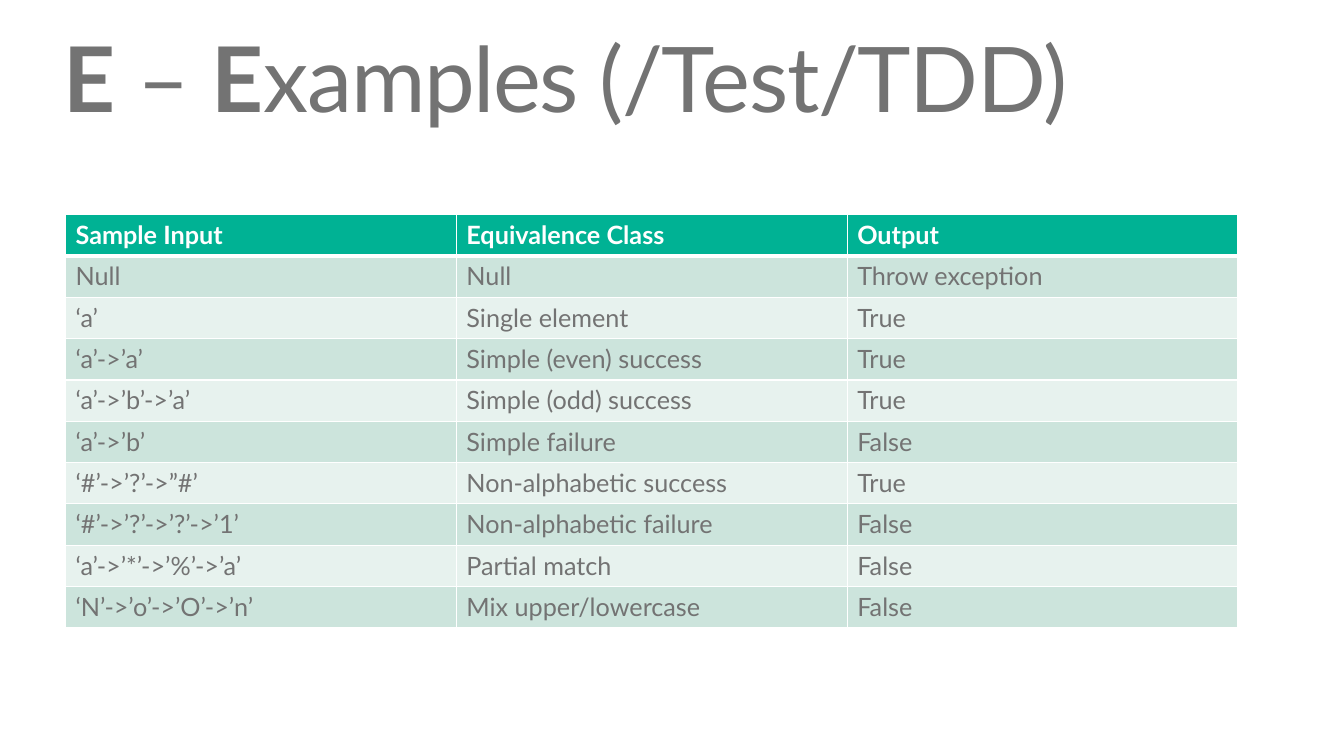
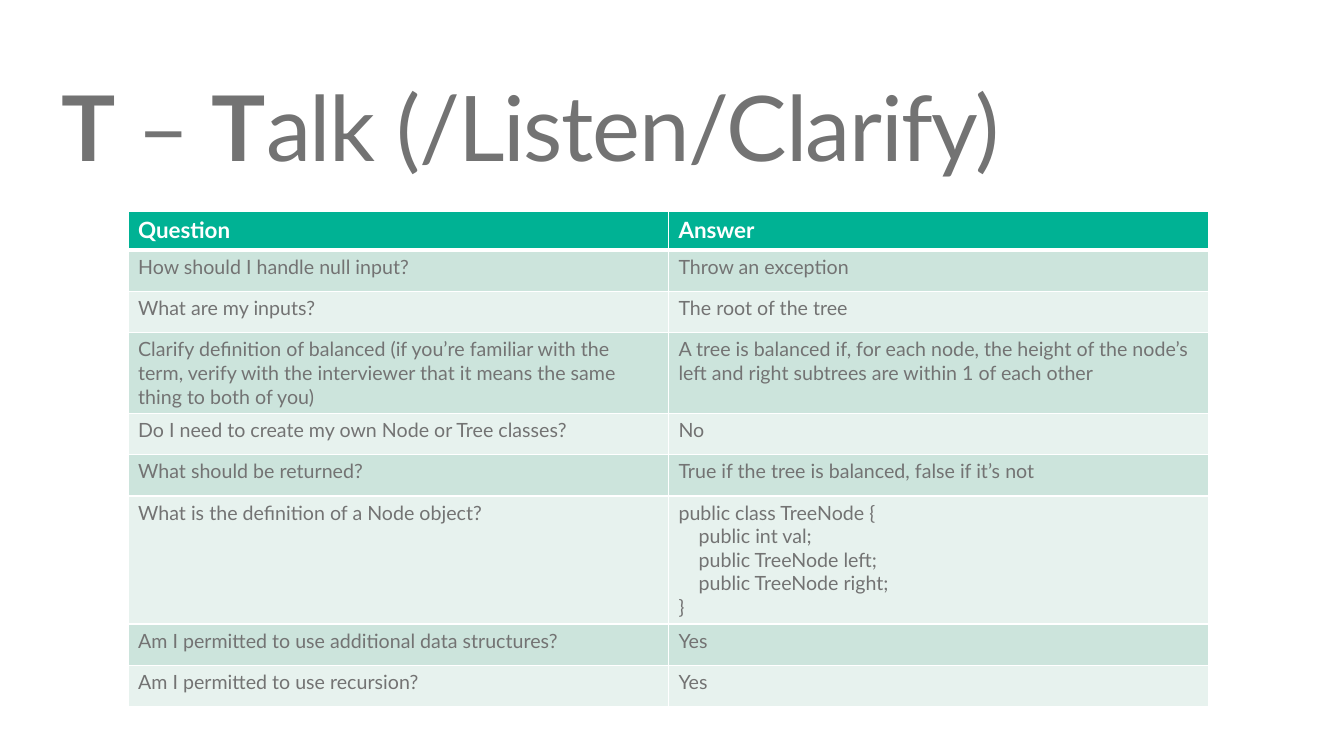
from dataclasses import dataclass

from lxml import etree
from pptx import Presentation
from pptx.dml.color import RGBColor
from pptx.enum.text import MSO_ANCHOR
from pptx.oxml.ns import qn
from pptx.util import Inches, Pt

TOP = MSO_ANCHOR.TOP


@dataclass(frozen=True)
class Theme:
    font: str = "Lato"
    text: str = "737373"
    white: str = "FFFFFF"
    header: str = "00B294"
    bands: tuple = ("CCE4DC", "E7F2EE")
    title_size: float = 64.7
    title_spacing: float = -1
    border: float = 1
    header_border: float = 3


THEME = Theme()


def add_span(para, text, *, size, color=THEME.text, bold=False, spacing=0):
    span = para.add_run()
    span.text = text
    span.font.name = THEME.font
    span.font.size = Pt(size)
    span.font.bold = bold
    span.font.color.rgb = RGBColor.from_string(color)
    if spacing:
        span.font._element.set("spc", str(int(spacing * 100)))


def add_border(cell, side, width):
    properties = cell._tc.get_or_add_tcPr()
    line = etree.SubElement(properties, qn(f"a:ln{side}"), w=str(Pt(width)))
    fill = etree.SubElement(line, qn("a:solidFill"))
    etree.SubElement(fill, qn("a:srgbClr"), val=THEME.white)


class Deck:
    def __init__(self):
        self.presentation = Presentation()
        self.presentation.slide_width = Inches(13.33)
        self.presentation.slide_height = Inches(7.5)
        self.page = None

    def add_page(self):
        blank = self.presentation.slide_layouts[6]
        self.page = self.presentation.slides.add_slide(blank)

    def add_title(self, left, top, letter, rest):
        box = self.page.shapes.add_textbox(
            Inches(left), Inches(top), Inches(11.53), Inches(1.25))
        frame = box.text_frame
        frame.word_wrap = True
        frame.vertical_anchor = TOP
        frame.margin_left = frame.margin_right = Inches(0.16)
        frame.margin_top = frame.margin_bottom = Inches(0.08)
        para = frame.paragraphs[0]
        para.line_spacing = 0.9
        for text, bold in ((letter, True), (" – ", False), (letter, True), (rest, False)):
            add_span(para, text, size=THEME.title_size, bold=bold,
                     spacing=THEME.title_spacing)

    def add_table(self, left, top, width, rows, heights, header_size, body_size):
        columns = len(rows[0])
        table = self.page.shapes.add_table(
            len(rows), columns, Inches(left), Inches(top),
            Inches(width), Inches(sum(heights))).table
        for column in table.columns:
            column.width = Inches(width / columns)
        for index, (texts, height) in enumerate(zip(rows, heights)):
            table.rows[index].height = Inches(height)
            for position, text in enumerate(texts):
                size = body_size if index else header_size
                self.fill_cell(table.cell(index, position), text, index, size)

    def fill_cell(self, cell, text, index, size):
        is_header = index == 0
        widths = {
            "L": THEME.border,
            "R": THEME.border,
            "T": THEME.header_border if index == 1 else THEME.border,
            "B": THEME.header_border if is_header else THEME.border,
        }
        for side, width in widths.items():
            add_border(cell, side, width)
        background = THEME.header if is_header else THEME.bands[(index - 1) % 2]
        cell.fill.solid()
        cell.fill.fore_color.rgb = RGBColor.from_string(background)
        frame = cell.text_frame
        for number, line in enumerate(text.split("\n")):
            para = frame.add_paragraph() if number else frame.paragraphs[0]
            add_span(para, line, size=size, bold=is_header,
                     color=THEME.white if is_header else THEME.text)


EXAMPLES = [
    ("Sample Input", "Equivalence Class", "Output"),
    ("Null", "Null", "Throw exception"),
    ("‘a’", "Single element", "True"),
    ("‘a’->’a’", "Simple (even) success", "True"),
    ("‘a’->’b’->’a’", "Simple (odd) success", "True"),
    ("‘a’->’b’", "Simple failure", "False"),
    ("‘#’->’?’->”#’", "Non-alphabetic success", "True"),
    ("‘#’->’?’->’?’->’1’", "Non-alphabetic failure", "False"),
    ("‘a’->’*’->’%’->’a’", "Partial match", "False"),
    ("‘N’->’o’->’O’->’n’", "Mix upper/lowercase", "False"),
]

NODE_CODE = """public class TreeNode {
    public int val;
    public TreeNode left;
    public TreeNode right;
}"""

QUESTIONS = [
    ("Question", "Answer"),
    ("How should I handle null input?", "Throw an exception"),
    ("What are my inputs?", "The root of the tree"),
    ("Clarify definition of balanced (if you’re familiar with the term, verify "
     "with the interviewer that it means the same thing to both of you)",
     "A tree is balanced if, for each node, the height of the node’s left and "
     "right subtrees are within 1 of each other"),
    ("Do I need to create my own Node or Tree classes?", "No"),
    ("What should be returned?", "True if the tree is balanced, false if it’s not"),
    ("What is the definition of a Node object?", NODE_CODE),
    ("Am I permitted to use additional data structures?", "Yes"),
    ("Am I permitted to use recursion?", "Yes"),
]


def main():
    deck = Deck()
    row = 0.41

    deck.add_page()
    deck.add_title(0.47, 0.26, "E", "xamples (/Test/TDD)")
    deck.add_table(0.65, 2.13, 11.63, EXAMPLES, [row] * len(EXAMPLES),
                   header_size=18, body_size=18)

    deck.add_page()
    deck.add_title(0.45, 0.75, "T", "alk (/Listen/Clarify)")
    heights = [0.38, row, row, 0.79, row, row, 1.27, row, row]
    deck.add_table(1.27, 2.1, 10.72, QUESTIONS, heights,
                   header_size=16, body_size=14)

    deck.presentation.save("out.pptx")


if __name__ == "__main__":
    main()
